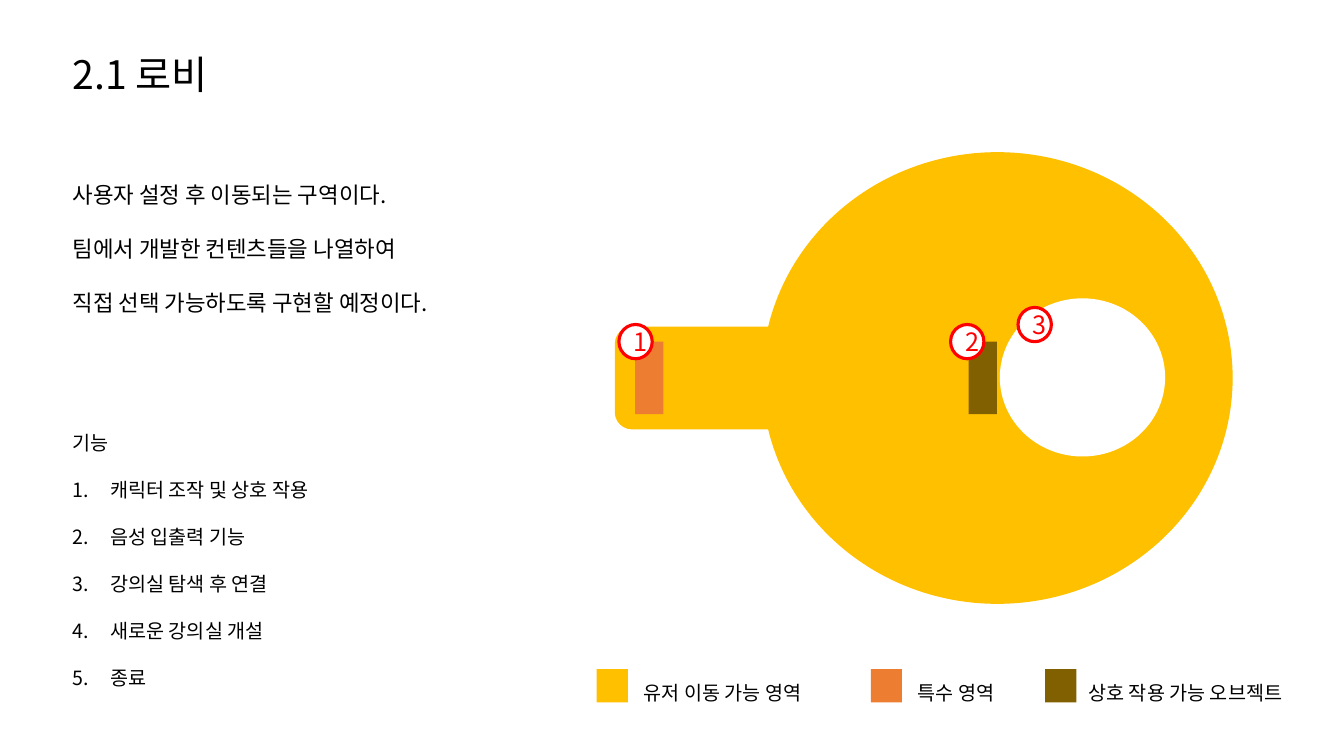
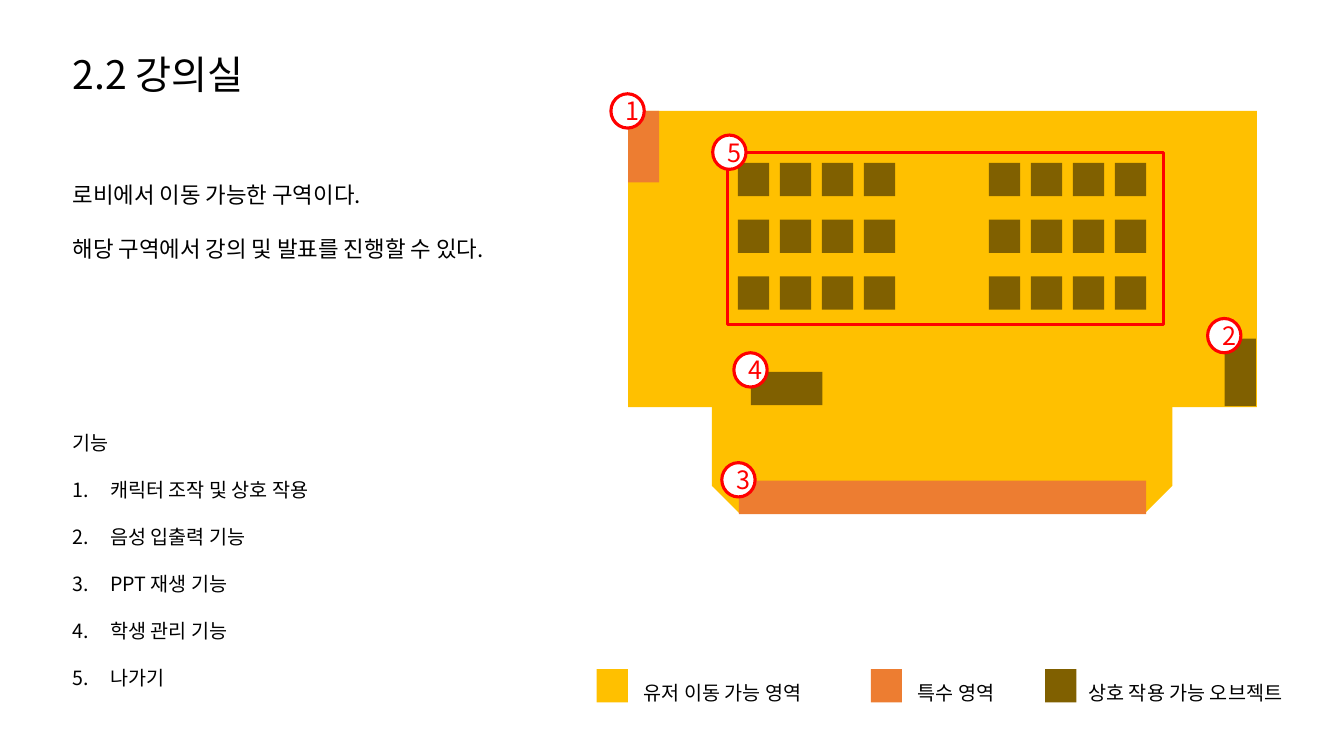
from dataclasses import dataclass

from lxml import etree
from pptx import Presentation
from pptx.dml import color
from pptx.enum import shapes, text
from pptx.oxml import ns
from pptx.util import Pt


@dataclass(frozen=True)
class Theme:
    font: str = "Noto Sans CJK KR"
    ink: str = "000000"
    paper: str = "FFFFFF"
    walkable: str = "FFC000"
    special: str = "ED7D31"
    interactive: str = "806000"
    marker: str = "FF0000"
    title_size: float = 28
    intro_size: float = 16
    small_size: float = 14
    badge_size: float = 18
    outline: float = 2.25


@dataclass(frozen=True)
class Box:
    x: float
    y: float
    w: float
    h: float

    def inner(self, x, y, w, h):
        return Box(self.x + x, self.y + y, w, h)


THEME = Theme()
KIND = shapes.MSO_SHAPE
MARGIN = 44.6
TITLE_BOX = Box(MARGIN, 32.4, 300, 41)
INTRO_BOX = Box(MARGIN, 106.6, 360, 118)
FEATURES_BOX = Box(MARGIN, 287.3, 300, 239)
LEGEND_BOX = Box(426.2, 478, 520, 24)
LOBBY_BOX = Box(439.2, 108.7, 441.4, 322.6)
CLASSROOM_BOX = Box(448.6, 79.2, 449.3, 287.3)
CELL = (22.3, 23.8)
BADGE = (23.8, 24.5)

# Colour, text, swatch offset, gap from swatch to label, label width
LEGEND = [
    (THEME.walkable, "유저 이동 가능 영역", 0, 26.6, 142),
    (THEME.special, "특수 영역", 195.8, 26.6, 100),
    (THEME.interactive, "상호 작용 가능 오브젝트", 320.4, 23.8, 187),
]


# Shared helpers
def rgb(value):
    return color.RGBColor.from_string(value)


def place(part, box):
    part.left, part.top = Pt(box.x), Pt(box.y)
    part.width, part.height = Pt(box.w), Pt(box.h)


def add_run(paragraph, words, size, ink=THEME.ink):
    run = paragraph.add_run()
    run.text = words
    run.font.name = THEME.font
    run.font.size = Pt(size)
    run.font.color.rgb = rgb(ink)
    east_asian = etree.SubElement(run.font._element, ns.qn("a:ea"))
    east_asian.set("typeface", THEME.font)


def set_bullet(paragraph, numbered):
    props = paragraph._p.get_or_add_pPr()
    indent = Pt(27) if numbered else 0
    props.set("marL", str(indent))
    props.set("indent", str(-indent))
    if numbered:
        font = etree.SubElement(props, ns.qn("a:buFont"))
        font.set("typeface", THEME.font)
        number = etree.SubElement(props, ns.qn("a:buAutoNum"))
        number.set("type", "arabicPeriod")
    else:
        etree.SubElement(props, ns.qn("a:buNone"))


def prepare_frame(frame):
    frame.word_wrap = True
    frame.auto_size = text.MSO_AUTO_SIZE.NONE
    frame.vertical_anchor = text.MSO_ANCHOR.TOP


def fill_lines(frame, lines, size, numbered_from=None):
    prepare_frame(frame)
    for index, words in enumerate(lines):
        line = frame.paragraphs[0] if index == 0 else frame.add_paragraph()
        line.alignment = text.PP_ALIGN.LEFT
        line.line_spacing = 2.0
        line.space_before = Pt(0)
        set_bullet(line, numbered_from is not None and index >= numbered_from)
        add_run(line, words, size)


def add_area(slide, box, fill=None, kind=KIND.RECTANGLE, outline=None):
    area = slide.shapes.add_shape(kind, Pt(box.x), Pt(box.y), Pt(box.w), Pt(box.h))
    area.shadow.inherit = False
    if fill:
        area.fill.solid()
        area.fill.fore_color.rgb = rgb(fill)
    else:
        area.fill.background()
    if outline:
        area.line.color.rgb = rgb(outline)
        area.line.width = Pt(THEME.outline)
    else:
        area.line.fill.background()
    return area


def add_badge(slide, plan, number, x, y):
    badge = add_area(slide, plan.inner(x, y, *BADGE), THEME.paper, KIND.OVAL, THEME.marker)
    badge.text_frame.vertical_anchor = text.MSO_ANCHOR.MIDDLE
    label = badge.text_frame.paragraphs[0]
    label.alignment = text.PP_ALIGN.CENTER
    add_run(label, str(number), THEME.badge_size, THEME.marker)


# Regions
def draw_title(placeholder, box, words):
    place(placeholder, box)
    prepare_frame(placeholder.text_frame)
    heading = placeholder.text_frame.paragraphs[0]
    heading.alignment = text.PP_ALIGN.LEFT
    add_run(heading, words, THEME.title_size)


def draw_legend(slide, box):
    for fill, words, x, gap, width in LEGEND:
        add_area(slide, box.inner(x, 0, *CELL), fill)
        spot = box.inner(x + gap, -12.2, width, 36)
        label = slide.shapes.add_textbox(Pt(spot.x), Pt(spot.y), Pt(spot.w), Pt(spot.h))
        fill_lines(label.text_frame, [words], THEME.small_size)


def draw_lobby(slide, plan):
    # Hall, corridor and central opening
    add_area(slide, plan.inner(105.1, 0, 336.2, 322.6), THEME.walkable, KIND.OVAL)
    add_area(slide, plan.inner(0, 124.6, 169.9, 73.4), THEME.walkable, KIND.ROUNDED_RECTANGLE)
    add_area(slide, plan.inner(275, 104.4, 118.1, 113), THEME.paper, KIND.OVAL)
    # Entrance and control panel
    add_area(slide, plan.inner(14.4, 135.4, 20.2, 51.8), THEME.special)
    add_area(slide, plan.inner(252.7, 135.4, 20.2, 51.8), THEME.interactive)
    for number, x, y in [(1, 2.9, 123.1), (2, 239.8, 123.1), (3, 288, 110.9)]:
        add_badge(slide, plan, number, x, y)


def draw_classroom(slide, plan):
    # Floor and stage
    add_area(slide, plan.inner(0, 0, 449.3, 211.7), THEME.walkable)
    stage = add_area(slide, plan.inner(59.8, 170.6, 329, 116.6), THEME.walkable,
                     KIND.SNIP_2_SAME_RECTANGLE)
    stage.rotation = 180
    # Door, screen, lectern and exit
    add_area(slide, plan.inner(0, 0, 22.3, 51.1), THEME.special)
    add_area(slide, plan.inner(79.2, 264.2, 290.9, 23.8), THEME.special)
    add_area(slide, plan.inner(87.8, 186.5, 51.1, 23.8), THEME.interactive)
    add_area(slide, plan.inner(426.2, 162.7, 22.3, 48.2), THEME.interactive)
    # Two blocks of seats, three rows of four
    for block_x in (78.5, 257.8):
        for row in range(3):
            for column in range(4):
                seat = plan.inner(block_x + 30 * column, 37.1 + 40.6 * row, *CELL)
                add_area(slide, seat, THEME.interactive)
    # Seating frame and numbers
    add_area(slide, plan.inner(71.3, 29.5, 311, 123.1), outline=THEME.marker)
    for number, x, y in [(1, -12.2, -12.2), (2, 414, 148.3), (3, 67, 251.3),
                         (4, 75.6, 172.8), (5, 60.5, 17.3)]:
        add_badge(slide, plan, number, x, y)


# One slide per zone
def build_zone(deck, title, intro, features, draw_plan, plan_box):
    slide = deck.slides.add_slide(deck.slide_layouts.get_by_name("Two Content"))
    heading, intro_body, feature_body = slide.placeholders
    draw_title(heading, TITLE_BOX, title)
    place(intro_body, INTRO_BOX)
    fill_lines(intro_body.text_frame, intro, THEME.intro_size)
    place(feature_body, FEATURES_BOX)
    fill_lines(feature_body.text_frame, ["기능", *features], THEME.small_size, numbered_from=1)
    draw_plan(slide, plan_box)
    draw_legend(slide, LEGEND_BOX)


def main():
    deck = Presentation()
    deck.slide_width, deck.slide_height = Pt(960), Pt(540)
    shared_features = ["캐릭터 조작 및 상호 작용", "음성 입출력 기능"]
    build_zone(
        deck, "2.1 로비",
        ["사용자 설정 후 이동되는 구역이다.",
         "팀에서 개발한 컨텐츠들을 나열하여",
         "직접 선택 가능하도록 구현할 예정이다."],
        shared_features + ["강의실 탐색 후 연결", "새로운 강의실 개설", "종료"],
        draw_lobby, LOBBY_BOX)
    build_zone(
        deck, "2.2 강의실",
        ["로비에서 이동 가능한 구역이다.",
         "해당 구역에서 강의 및 발표를 진행할 수 있다."],
        shared_features + ["PPT 재생 기능", "학생 관리 기능", "나가기"],
        draw_classroom, CLASSROOM_BOX)
    deck.save("out.pptx")


if __name__ == "__main__":
    main()
